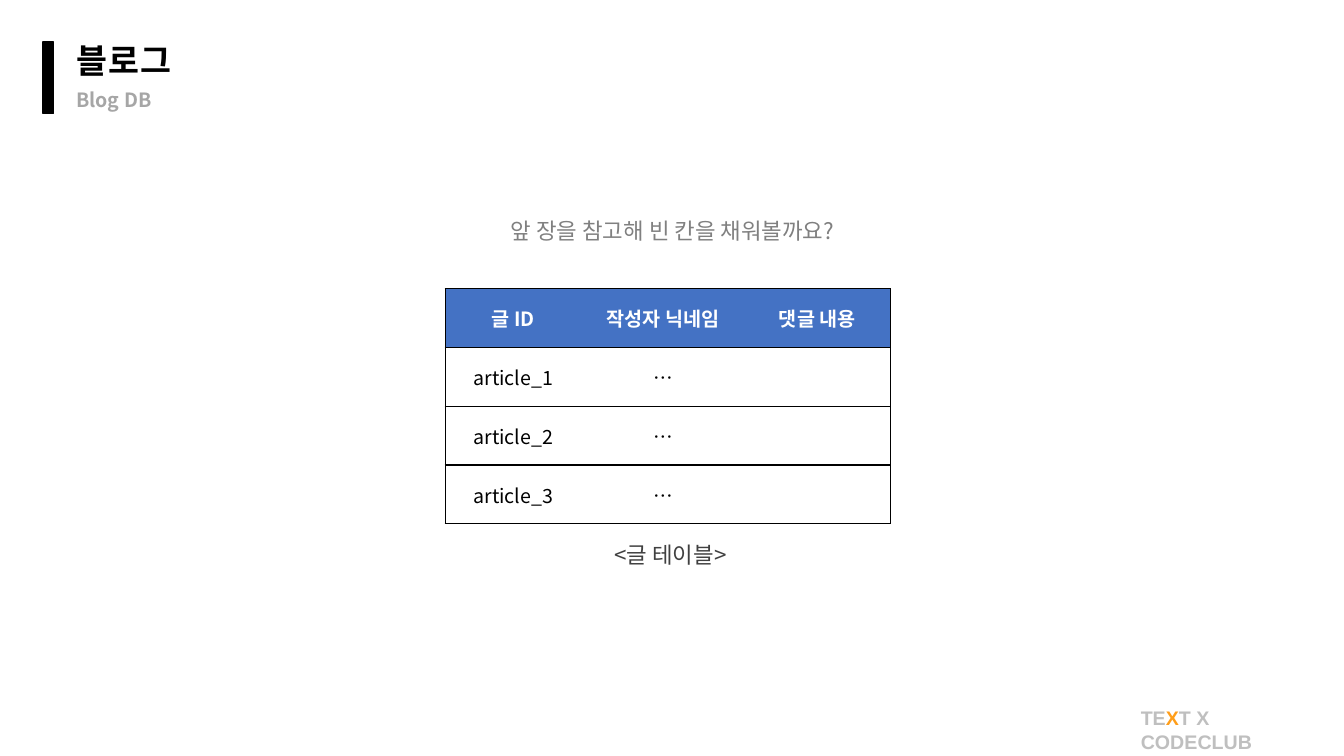
from dataclasses import dataclass

from lxml.etree import SubElement
from pptx import Presentation
from pptx.dml.color import RGBColor
from pptx.enum.shapes import MSO_SHAPE
from pptx.enum.text import MSO_ANCHOR, MSO_AUTO_SIZE, PP_ALIGN
from pptx.oxml import parse_xml
from pptx.oxml.ns import nsdecls, qn
from pptx.slide import Slide
from pptx.table import _Cell as Cell
from pptx.text.text import TextFrame, _Paragraph as Paragraph
from pptx.util import Emu, Pt

PX = 9525  # EMU per px, 96 px to the inch

BLACK = RGBColor(0x00, 0x00, 0x00)
WHITE = RGBColor(0xFF, 0xFF, 0xFF)
BLUE = RGBColor(0x44, 0x72, 0xC4)
ORANGE = RGBColor(0xFF, 0x9E, 0x1A)
CHARCOAL = RGBColor(0x40, 0x40, 0x40)
GRAY = RGBColor(0x80, 0x80, 0x80)
SILVER = RGBColor(0xA6, 0xA6, 0xA6)
PALE = RGBColor(0xBF, 0xBF, 0xBF)

KOREAN = "Noto Sans CJK KR"
COLUMN_WIDTHS = (130, 155, 139)
ROW_HEIGHT = 56
HEADERS = ("글 ID", "작성자 닉네임", "댓글 내용")
ARTICLES = [(f"article_{number}", "…", "") for number in (1, 2, 3)]


@dataclass(frozen=True)
class Style:
    size: int
    color: RGBColor
    bold: bool = False
    font: str = KOREAN
    spacing: int = 0  # hundredths of a point


@dataclass(frozen=True)
class Label:
    box: tuple[int, int, int, int]
    pieces: tuple[tuple[str, Style], ...]
    align: PP_ALIGN = PP_ALIGN.LEFT


HEADING = Style(24, BLACK, True, "Lato", 100)
HEADER_CELL = Style(14, WHITE, True)
BODY_CELL = Style(14, BLACK)
FOOTER = Style(14, PALE, True, "Arial")
FOOTER_ACCENT = Style(14, ORANGE, True, "Arial")

TITLE = Label((63, 33, 411, 48), (("블로그", HEADING),))
LABELS = (
    Label((63, 79, 92, 33), (("Blog DB", Style(14, SILVER, True)),)),
    Label((457, 202, 367, 36), (("앞 장을 참고해 빈 칸을 채워볼까요?", Style(16, GRAY)),),
          PP_ALIGN.CENTER),
    Label((567, 511, 143, 36), (("<글 테이블>", Style(16, CHARCOAL)),),
          PP_ALIGN.CENTER),
    Label((1077, 668, 180, 33),
          (("TE", FOOTER), ("X", FOOTER_ACCENT), ("T X CODECLUB", FOOTER))),
)


def px(*lengths: int) -> list[Emu]:
    return [Emu(length * PX) for length in lengths]


def add_run(paragraph: Paragraph, text: str, style: Style) -> None:
    run = paragraph.add_run()
    run.text = text
    font = run.font
    font.size, font.bold, font.name = Pt(style.size), style.bold, style.font
    font.color.rgb = style.color
    properties = run._r.get_or_add_rPr()
    SubElement(properties, qn("a:ea")).set("typeface", style.font)
    if style.spacing:
        properties.set("spc", str(style.spacing))


def write(frame: TextFrame, label: Label, wrap: bool) -> None:
    frame.word_wrap = wrap
    frame.auto_size = MSO_AUTO_SIZE.SHAPE_TO_FIT_TEXT
    frame.vertical_anchor = MSO_ANCHOR.TOP
    paragraph = frame.paragraphs[0]
    paragraph.alignment = label.align
    for text, style in label.pieces:
        add_run(paragraph, text, style)


def add_title(slide: Slide) -> None:
    title = slide.shapes.title
    title.left, title.top, title.width, title.height = px(*TITLE.box)
    write(title.text_frame, TITLE, wrap=True)


def add_title_bar(slide: Slide) -> None:
    bar = slide.shapes.add_shape(MSO_SHAPE.RECTANGLE, *px(41, 40, 10, 68))
    bar.shadow.inherit = False
    bar.fill.solid()
    bar.fill.fore_color.rgb = BLACK
    bar.line.color.rgb = BLACK
    bar.line.width = Pt(1)


def set_borders(cell: Cell, visible: str) -> None:
    """Draw the sides named in visible (of L, R, T, B) and hide the others."""
    properties = cell._tc.get_or_add_tcPr()
    for position, side in enumerate("LRTB"):
        paint = (f'<a:solidFill><a:srgbClr val="{BLACK}"/></a:solidFill>'
                 if side in visible else "<a:noFill/>")
        properties.insert(position, parse_xml(
            f'<a:ln{side} {nsdecls("a")} w="{Pt(1)}">{paint}</a:ln{side}>'))


def add_article_table(slide: Slide) -> None:
    rows = [HEADERS, *ARTICLES]
    box = px(424, 275, sum(COLUMN_WIDTHS), ROW_HEIGHT * len(rows))
    table = slide.shapes.add_table(len(rows), len(HEADERS), *box).table
    table.horz_banding = False
    for column, width in zip(table.columns, COLUMN_WIDTHS):
        column.width = Emu(width * PX)
    outer_sides = {0: "L", len(HEADERS) - 1: "R"}
    for row_index, texts in enumerate(rows):
        table.rows[row_index].height = Emu(ROW_HEIGHT * PX)
        for column_index, text in enumerate(texts):
            cell = table.cell(row_index, column_index)
            cell.vertical_anchor = MSO_ANCHOR.MIDDLE
            if row_index == 0:
                cell.fill.solid()
                cell.fill.fore_color.rgb = BLUE
            else:
                cell.fill.background()
            set_borders(cell, "TB" + outer_sides.get(column_index, ""))
            if text:
                paragraph = cell.text_frame.paragraphs[0]
                paragraph.alignment = PP_ALIGN.CENTER
                add_run(paragraph, text, BODY_CELL if row_index else HEADER_CELL)


def main() -> None:
    presentation = Presentation()
    presentation.slide_width, presentation.slide_height = px(1280, 720)
    slide = presentation.slides.add_slide(presentation.slide_layouts[5])
    add_title_bar(slide)
    add_title(slide)
    add_article_table(slide)
    for label in LABELS:
        write(slide.shapes.add_textbox(*px(*label.box)).text_frame, label, wrap=False)
    presentation.save("out.pptx")


if __name__ == "__main__":
    main()
